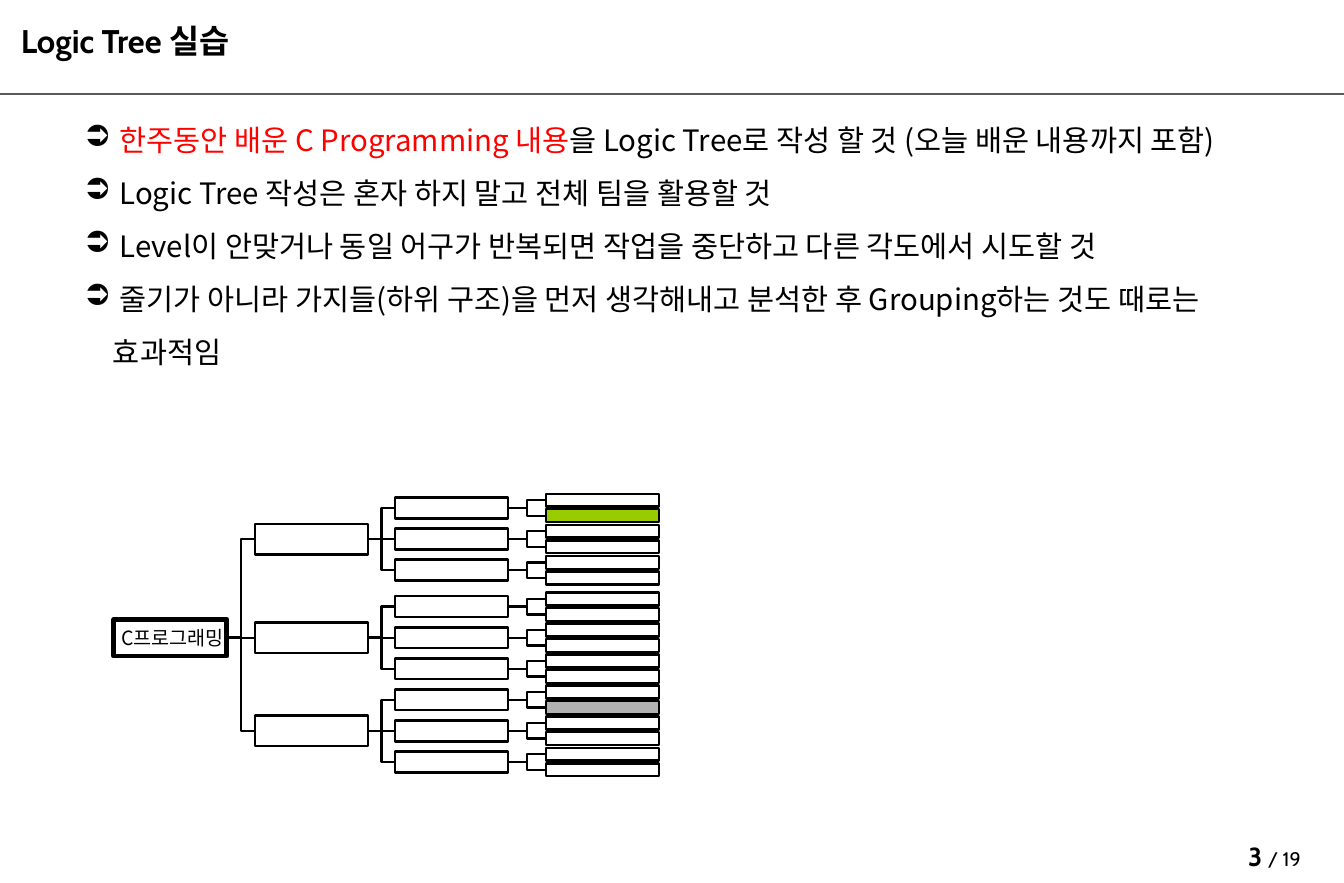
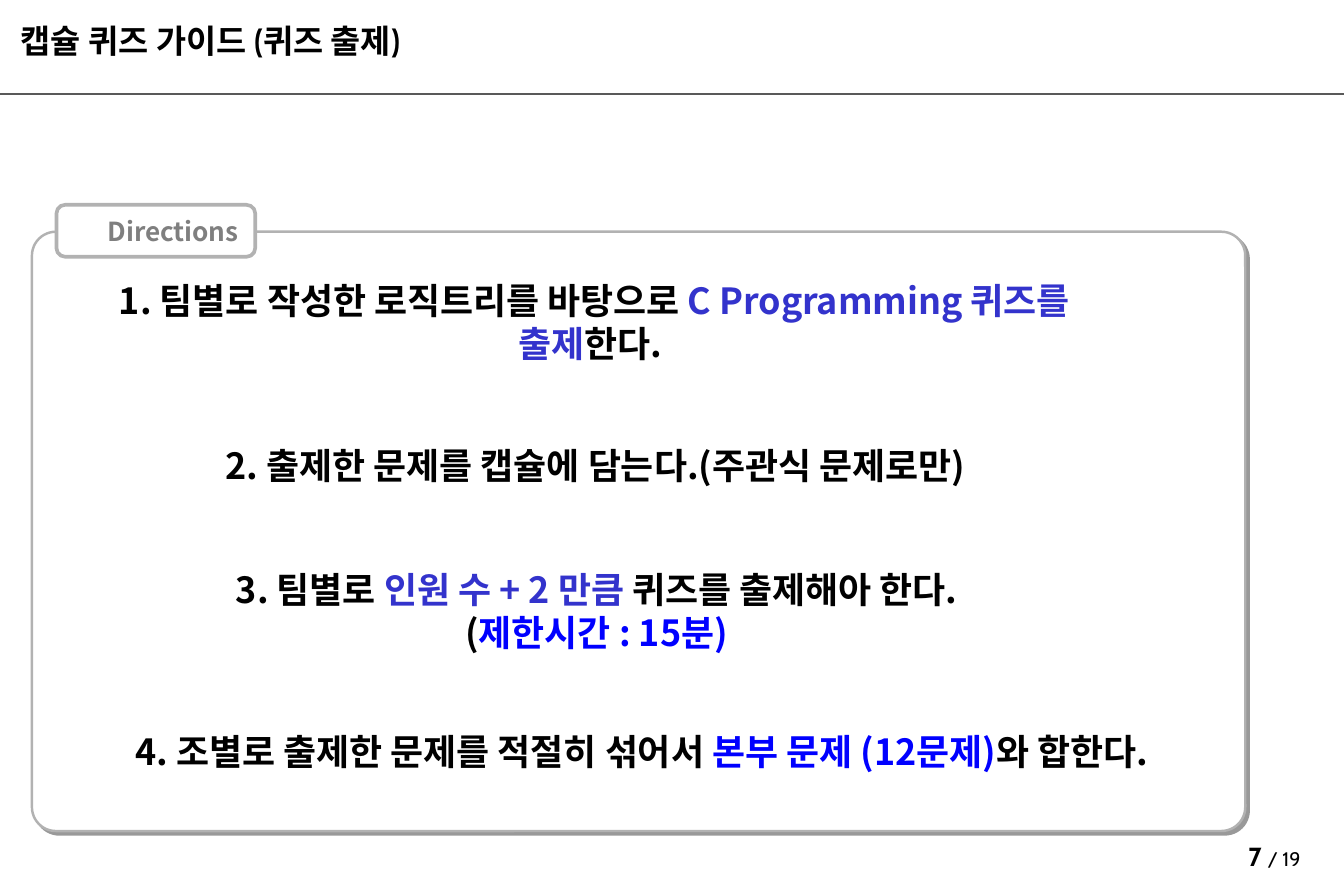
from dataclasses import dataclass

from lxml import etree
from pptx import Presentation
from pptx.dml.color import RGBColor
from pptx.enum.shapes import MSO_CONNECTOR, MSO_SHAPE
from pptx.enum.text import MSO_ANCHOR, PP_ALIGN
from pptx.oxml.ns import qn
from pptx.util import Cm, Pt

STRAIGHT, ELBOW = MSO_CONNECTOR.STRAIGHT, MSO_CONNECTOR.ELBOW
RECTANGLE, ROUNDED = MSO_SHAPE.RECTANGLE, MSO_SHAPE.ROUNDED_RECTANGLE
TOP, MIDDLE, BOTTOM = MSO_ANCHOR.TOP, MSO_ANCHOR.MIDDLE, MSO_ANCHOR.BOTTOM
LEFT, CENTER = PP_ALIGN.LEFT, PP_ALIGN.CENTER
LEFT_SIDE, RIGHT_SIDE = 1, 3


@dataclass(frozen=True)
class Theme:
    """Colours, fonts and type sizes shared by the slides."""

    black: str = "000000"
    white: str = "FFFFFF"
    rule: str = "595959"
    border: str = "B2B2B2"
    label: str = "7F7F7F"
    red: str = "FF0000"
    indigo: str = "3333CC"
    blue: str = "0000FF"
    green: str = "99CC00"
    heading_font: str = "Cabin"
    body_font: str = "Noto Sans CJK KR"
    title_size: int = 20
    step_size: int = 22
    bullet_size: int = 18
    label_size: int = 16
    small_size: int = 12
    thin: float = 1.5
    medium: float = 2.25
    thick: float = 3


THEME = Theme()
TITLE = {"size": THEME.title_size, "name": THEME.heading_font, "bold": True}
PAGE = {"size": THEME.label_size, "name": THEME.heading_font, "bold": True}
TOTAL = {"size": THEME.small_size, "name": THEME.heading_font, "bold": False}
BULLET = {"size": THEME.bullet_size, "name": THEME.body_font, "bold": False}
ROOT = {"size": THEME.small_size, "name": THEME.body_font, "bold": False}
LABEL = {"size": THEME.label_size, "name": THEME.body_font, "bold": True}
STEP = {"size": THEME.step_size, "name": THEME.body_font, "bold": True}

PAGE_COUNT = 19

TASKS = [
    [(" ", THEME.black), ("한주동안 배운 C Programming 내용", THEME.red),
     ("을 Logic Tree로 작성 할 것 (오늘 배운 내용까지 포함)", THEME.black)],
    [(" Logic Tree 작성은 혼자 하지 말고 전체 팀을 활용할 것", THEME.black)],
    [(" Level이 안맞거나 동일 어구가 반복되면 작업을 중단하고 다른 각도에서 시도할 것",
      THEME.black)],
    [(" 줄기가 아니라 가지들(하위 구조)을 먼저 생각해내고 분석한 후 "
      "Grouping하는 것도 때로는 효과적임", THEME.black)],
]

STEPS = [
    (0.89, 6.27, [[("1. 팀별로 작성한 로직트리를 바탕으로 ", THEME.black),
                   ("C Programming 퀴즈를 출제", THEME.indigo),
                   ("한다. ", THEME.black)]]),
    (0.91, 9.35, [[("2. 출제한 문제를 캡슐에 담는다.(주관식 문제로만)", THEME.black)]]),
    (0.94, 12.5, [[("3. 팀별로 ", THEME.black),
                   ("인원 수 + 2 만큼 ", THEME.indigo),
                   ("퀴즈를 출제해아 한다.", THEME.black)],
                  [("(", THEME.black), ("제한시간 : 15분)", THEME.blue)]]),
    (1.91, 15.52, [[("4. 조별로 출제한 문제를 적절히 섞어서 ", THEME.black),
                    ("본부 문제 (12문제)", THEME.blue),
                    ("와 합한다.", THEME.black)]]),
]

NODE_WIDTH = 2.44
ROOT_LEFT, STEM_LEFT, BRANCH_LEFT, LEAF_LEFT = 2.46, 5.51, 8.53, 11.79
ROOT_HEIGHT, STEM_HEIGHT, BRANCH_HEIGHT, LEAF_HEIGHT = 0.79, 0.66, 0.45, 0.28
STEM_CENTERS = (11.63, 13.76, 15.77)
ROOT_CENTER = STEM_CENTERS[1]
BRANCH_PITCH = 0.67
LEAF_FILLS = {(0, 0, 1): THEME.green, (2, 0, 1): THEME.border}


def apply_format(target, values):
    """Set every attribute named in values on the target."""
    for name, value in values.items():
        setattr(target, name, value)


def add_run(paragraph, text, color, style):
    """Add one run with Latin and East Asian fonts."""
    run = paragraph.add_run()
    run.text = text
    apply_format(run.font, {**style, "size": Pt(style["size"])})
    run.font.color.rgb = RGBColor.from_string(color)
    east_asian = etree.SubElement(run.font._element, qn("a:ea"))
    east_asian.set("typeface", THEME.body_font)


def fill_text(frame, paragraphs, style, align=LEFT, anchor=TOP, wrap=True, inset=0.13):
    """Write paragraphs of (text, colour) runs into a text frame."""
    apply_format(frame, {
        "word_wrap": wrap, "vertical_anchor": anchor,
        "margin_left": Cm(0.25), "margin_right": Cm(0.25),
        "margin_top": Cm(inset), "margin_bottom": Cm(inset),
    })
    for index, runs in enumerate(paragraphs):
        paragraph = frame.add_paragraph() if index else frame.paragraphs[0]
        paragraph.alignment = align
        for text, color in runs:
            add_run(paragraph, text, color, style)


def add_text(slide, box, paragraphs, style, **layout):
    """Add a text box and return its text frame."""
    frame = slide.shapes.add_textbox(*map(Cm, box)).text_frame
    fill_text(frame, paragraphs, style, **layout)
    return frame


def indent(paragraph, margin, first_line):
    """Set the left margin and first-line indent of a paragraph."""
    properties = paragraph._p.get_or_add_pPr()
    properties.set("marL", str(Cm(margin)))
    properties.set("indent", str(Cm(first_line)))
    return properties


def add_bullet(paragraph):
    """Give a paragraph a hanging arrow bullet."""
    paragraph.line_spacing = 1.5
    properties = indent(paragraph, 0.62, -0.62)
    color = etree.SubElement(properties, qn("a:buClr"))
    etree.SubElement(color, qn("a:srgbClr")).set("val", THEME.black)
    etree.SubElement(properties, qn("a:buChar")).set("char", "➲")


def add_box(slide, kind, box, line, width, fill=None):
    """Add an outlined preset shape without a shadow."""
    shape = slide.shapes.add_shape(kind, *map(Cm, box))
    shape.shadow.inherit = False
    shape.line.color.rgb = RGBColor.from_string(line)
    shape.line.width = Pt(width)
    if fill:
        shape.fill.solid()
        shape.fill.fore_color.rgb = RGBColor.from_string(fill)
    else:
        shape.fill.background()
    return shape


def add_line(slide, kind, ends, color):
    """Add a connector without a shadow."""
    connector = slide.shapes.add_connector(kind, *ends)
    connector.line.color.rgb = RGBColor.from_string(color)
    connector.line.width = Pt(THEME.thin)
    etree.SubElement(connector._element.spPr, qn("a:effectLst"))
    return connector


def add_drop_shadow(shape):
    """Cast a hard shadow to the lower right."""
    effects = shape._element.spPr.find(qn("a:effectLst"))
    shadow = etree.SubElement(effects, qn("a:outerShdw"), blurRad="0",
                              dist=str(Pt(3)), dir="2700000", algn="ctr")
    color = etree.SubElement(shadow, qn("a:srgbClr"), val=THEME.black)
    etree.SubElement(color, qn("a:alpha"), val="40000")


def add_node(slide, left, center, height, width=THEME.thin, fill=None):
    """Add a tree node centred on a height of the slide."""
    box = (left, center - height / 2, NODE_WIDTH, height)
    return add_box(slide, RECTANGLE, box, THEME.black, width, fill)


def join(slide, parent, child):
    """Connect the right side of a parent to the left side of a child."""
    start = parent.top + parent.height // 2
    end = child.top + child.height // 2
    kind = STRAIGHT if abs(start - end) < Cm(0.01) else ELBOW
    ends = (parent.left + parent.width, start, child.left, end)
    connector = add_line(slide, kind, ends, THEME.black)
    connector.begin_connect(parent, RIGHT_SIDE)
    connector.end_connect(child, LEFT_SIDE)


def add_tree(slide):
    """Draw the logic tree from its root to its leaves."""
    root = add_node(slide, ROOT_LEFT, ROOT_CENTER, ROOT_HEIGHT, THEME.thick)
    fill_text(root.text_frame, [[(" C프로그래밍", THEME.black)]], ROOT,
              align=CENTER, anchor=MIDDLE, wrap=False)
    for s, stem_center in enumerate(STEM_CENTERS):
        stem = add_node(slide, STEM_LEFT, stem_center, STEM_HEIGHT)
        join(slide, root, stem)
        for b in range(3):
            branch_center = stem_center + (b - 1) * BRANCH_PITCH
            branch = add_node(slide, BRANCH_LEFT, branch_center, BRANCH_HEIGHT)
            join(slide, stem, branch)
            for f in range(2):
                leaf_center = branch_center + (f - 0.5) * BRANCH_PITCH / 2
                leaf = add_node(slide, LEAF_LEFT, leaf_center, LEAF_HEIGHT,
                                fill=LEAF_FILLS.get((s, b, f)))
                join(slide, branch, leaf)


def add_page(deck, title, number):
    """Add a slide with its title, rule and page number."""
    slide = deck.slides.add_slide(deck.slide_layouts[6])
    add_line(slide, STRAIGHT, (0, Cm(2.03), deck.slide_width, Cm(2.03)), THEME.rule)
    add_text(slide, (0.2, 0.23, 12.98, 1.12), [[(title, THEME.black)]], TITLE,
             anchor=BOTTOM, inset=0.05)
    footer = add_text(slide, (26.06, 18.01, 2.9, 0.61),
                      [[(f"{number} ", THEME.black)]], PAGE, align=CENTER)
    add_run(footer.paragraphs[0], f"/ {PAGE_COUNT}", THEME.black, TOTAL)
    return slide


def add_practice_page(deck):
    """Build the logic tree practice slide."""
    slide = add_page(deck, "Logic Tree 실습", 3)
    tasks = add_text(slide, (1.57, 2.13, 25.93, 8.9), TASKS, BULLET)
    for paragraph in tasks.paragraphs:
        add_bullet(paragraph)
    add_tree(slide)


def add_quiz_page(deck):
    """Build the capsule quiz guide slide."""
    slide = add_page(deck, "캡슐 퀴즈 가이드 (퀴즈 출제)", 7)
    panel = add_box(slide, ROUNDED, (0.69, 5, 26.19, 12.93),
                    THEME.border, THEME.thin, THEME.white)
    panel.adjustments[0] = 0.04
    add_drop_shadow(panel)
    tab = add_box(slide, ROUNDED, (1.22, 4.42, 4.29, 1.12),
                  THEME.border, THEME.medium, THEME.white)
    fill_text(tab.text_frame, [[("Directions", THEME.label)]], LABEL,
              align=CENTER, anchor=MIDDLE, wrap=False)
    indent(tab.text_frame.paragraphs[0], 1, -0.25)
    for left, top, paragraphs in STEPS:
        add_text(slide, (left, top, 23.88, 1.35), paragraphs, STEP,
                 align=CENTER, anchor=MIDDLE)


def main():
    """Build and save the presentation."""
    deck = Presentation()
    apply_format(deck, {"slide_width": Cm(29.01), "slide_height": Cm(19.05)})
    add_practice_page(deck)
    add_quiz_page(deck)
    deck.save("out.pptx")


if __name__ == "__main__":
    main()
